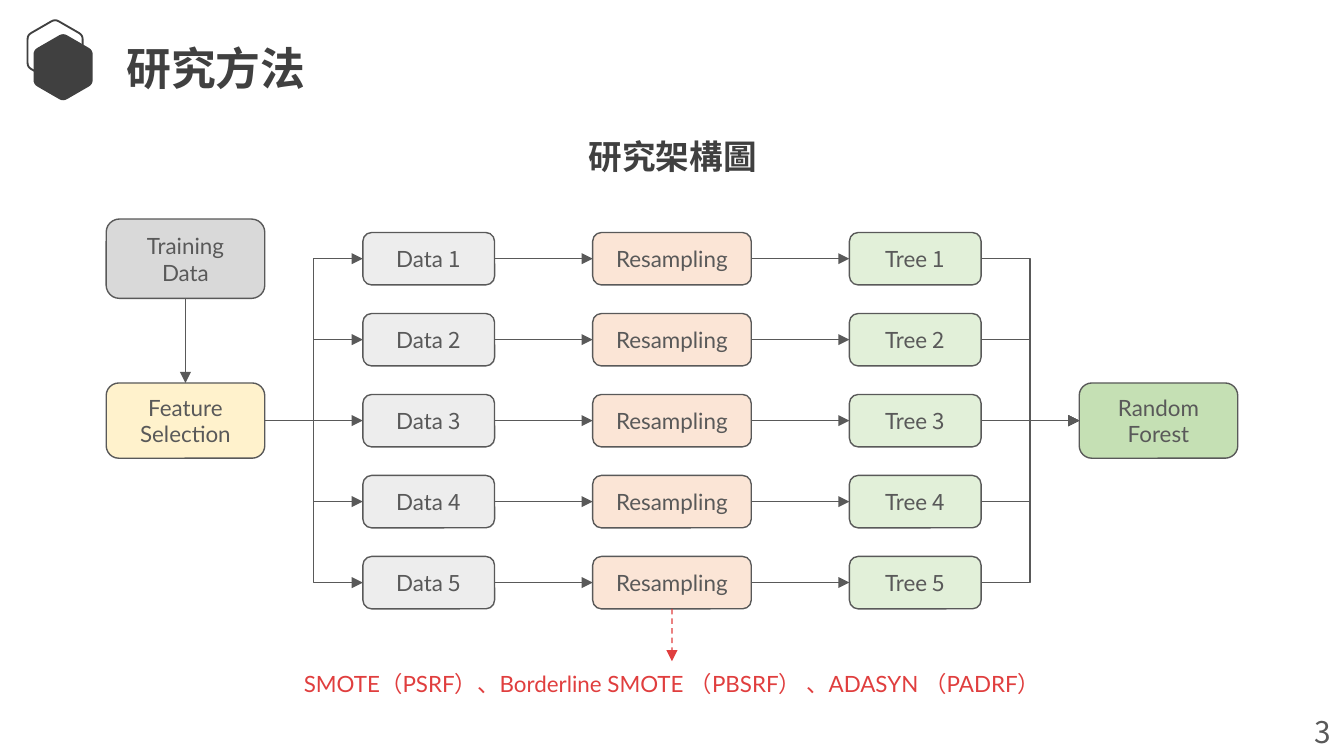
import math

from lxml import etree
from pptx import Presentation
from pptx.dml.color import RGBColor
from pptx.enum.dml import MSO_LINE
from pptx.enum.shapes import MSO_CONNECTOR, MSO_SHAPE
from pptx.enum.text import MSO_ANCHOR, PP_ALIGN
from pptx.oxml.ns import qn
from pptx.util import Inches, Pt

ROUNDED = MSO_SHAPE.ROUNDED_RECTANGLE
STRAIGHT, ELBOW = MSO_CONNECTOR.STRAIGHT, MSO_CONNECTOR.ELBOW
DASH = MSO_LINE.DASH
LEFT, CENTER = PP_ALIGN.LEFT, PP_ALIGN.CENTER
TOP, MIDDLE = MSO_ANCHOR.TOP, MSO_ANCHOR.MIDDLE
SITE_TOP, SITE_LEFT, SITE_BOTTOM, SITE_RIGHT = range(4)

LATIN, CJK = "Lato", "Noto Sans CJK JP"
COLORS = {
    "heading": "404040", "ink": "595959", "accent": "E03E3E",
    "training": "D9D9D9", "selection": "FFF2CC", "data": "EDEDED",
    "resampling": "FBE5D6", "tree": "E2F0D9", "forest": "C5E0B4",
}
ROWS = 5
FIRST_ROW, LAST_ROW = 1.73, 4.14
ROW_HEIGHT = 0.39


def color(name):
    """Return the named palette colour."""
    return RGBColor.from_string(COLORS[name])


def format_run(run, size, ink, font, bold=False):
    """Set the typeface, size and colour of one run."""
    run.font.name = font
    run.font.size = Pt(size)
    run.font.bold = bold
    run.font.color.rgb = color(ink)
    east_asian = etree.SubElement(run.font._element, qn("a:ea"))
    east_asian.set("typeface", CJK)


def write(shape, text, size, ink, font=LATIN, bold=False, align=CENTER, anchor=MIDDLE):
    """Fill a shape with one formatted paragraph and return it."""
    frame = shape.text_frame
    frame.text = text
    frame.word_wrap = True
    frame.vertical_anchor = anchor
    paragraph = frame.paragraphs[0]
    paragraph.alignment = align
    for run in paragraph.runs:
        format_run(run, size, ink, font, bold)
    return paragraph


def add_label(slide, place, text, size, ink, **style):
    """Add a text box with one formatted paragraph."""
    label = slide.shapes.add_textbox(*map(Inches, place))
    write(label, text, size, ink, **style)
    return label


def add_hexagon(slide, center_x, center_y, width, filled):
    """Draw an upright regular hexagon with rounded corners."""
    radius = width / math.sqrt(3)
    corners = [
        (center_x + radius * math.sin(k * math.pi / 3),
         center_y - radius * math.cos(k * math.pi / 3))
        for k in range(6)
    ]
    outline = []
    for k, corner in enumerate(corners):
        before, after = corners[k - 1], corners[(k + 1) % 6]
        for t in (0, 0.25, 0.5, 0.75, 1):
            pull_back, pull_on = 0.13 * (1 - t) ** 2, 0.13 * t ** 2
            outline.append(tuple(
                Inches(c + pull_back * (b - c) + pull_on * (a - c))
                for c, b, a in zip(corner, before, after)
            ))
    builder = slide.shapes.build_freeform(*outline[0])
    builder.add_line_segments(outline[1:], close=True)
    hexagon = builder.convert_to_shape()
    hexagon.shadow.inherit = False
    if filled:
        hexagon.fill.solid()
        hexagon.fill.fore_color.rgb = color("heading")
        hexagon.line.fill.background()
    else:
        hexagon.fill.background()
        hexagon.line.color.rgb = color("heading")
        hexagon.line.width = Pt(1)


def add_step(slide, place, text, fill, number=""):
    """Add a rounded step box, with an optional number after its text."""
    step = slide.shapes.add_shape(ROUNDED, *map(Inches, place))
    step.shadow.inherit = False
    step.fill.solid()
    step.fill.fore_color.rgb = color(fill)
    step.line.color.rgb = color("ink")
    step.line.width = Pt(0.75)
    paragraph = write(step, text, 12, "ink")
    if number:
        numeral = paragraph.add_run()
        numeral.text = number
        format_run(numeral, 12, "ink", CJK)
    return step


def add_column(slide, left, width, text, fill, numbered=True):
    """Add one evenly spaced column of step boxes."""
    pitch = (LAST_ROW - FIRST_ROW) / (ROWS - 1)
    return [
        add_step(slide, (left, FIRST_ROW + row * pitch, width, ROW_HEIGHT),
                 text, fill, str(row + 1) if numbered else "")
        for row in range(ROWS)
    ]


def link(slide, source, target, kind=STRAIGHT, sites=(SITE_RIGHT, SITE_LEFT),
         ink="ink", dash=None):
    """Join two boxes with an arrow."""
    arrow = slide.shapes.add_connector(kind, 0, 0, 0, 0)
    arrow.begin_connect(source, sites[0])
    arrow.end_connect(target, sites[1])
    arrow.line.color.rgb = color(ink)
    arrow.line.width = Pt(0.75)
    if dash:
        arrow.line.dash_style = dash
    head = etree.SubElement(arrow.line._get_or_add_ln(), qn("a:tailEnd"))
    head.set("type", "triangle")
    etree.SubElement(arrow._element.spPr, qn("a:effectLst"))


def add_headings(slide):
    """Place the title, its hexagon ornament, the subtitle and the page number."""
    add_hexagon(slide, 0.41, 0.38, 0.41, filled=False)
    add_hexagon(slide, 0.47, 0.5, 0.44, filled=True)
    title = slide.shapes.title
    title.left, title.top, title.width, title.height = map(Inches, (0.87, 0.26, 1.77, 0.48))
    write(title, "研究方法", 24, "heading", font=CJK, bold=True, align=LEFT, anchor=TOP)
    frame = title.text_frame
    frame.margin_left = frame.margin_right = Inches(0.07)
    frame.margin_top = frame.margin_bottom = Inches(0.04)
    add_label(slide, (2.07, 0.96, 5.87, 0.4), "研究架構圖", 18, "heading", bold=True)
    page = add_label(slide, (9.68, 5.26, 0.32, 0.37), "3", 16, "ink",
                     font=CJK, align=LEFT, anchor=TOP)
    page.text_frame.word_wrap = False


def add_flow(slide):
    """Build the flow from training data to random forest."""
    training = add_step(slide, (0.79, 1.63, 1.18, 0.59), "Training\vData", "training")
    selection = add_step(slide, (0.79, 2.85, 1.18, 0.56), "Feature\vSelection", "selection")
    forest = add_step(slide, (8.03, 2.85, 1.18, 0.56), "Random\vForest", "forest")
    subsets = add_column(slide, 2.7, 0.98, "Data ", "data")
    resamplings = add_column(slide, 4.41, 1.18, "Resampling", "resampling", numbered=False)
    trees = add_column(slide, 6.32, 0.98, "Tree ", "tree")

    link(slide, training, selection, sites=(SITE_BOTTOM, SITE_TOP))
    for subset, resampling, tree in zip(subsets, resamplings, trees):
        link(slide, selection, subset, ELBOW)
        link(slide, subset, resampling)
        link(slide, resampling, tree)
        link(slide, tree, forest, ELBOW)

    methods = slide.shapes.add_shape(ROUNDED, *map(Inches, (2.01, 4.92, 5.98, 0.34)))
    methods.shadow.inherit = False
    methods.fill.background()
    methods.line.fill.background()
    paragraph = write(
        methods, "SMOTE（PSRF）、Borderline SMOTE （PBSRF） 、ADASYN （PADRF）", 12, "accent")
    paragraph.space_before = paragraph.space_after = Pt(6)
    link(slide, resamplings[-1], methods, sites=(SITE_BOTTOM, SITE_TOP),
         ink="accent", dash=DASH)


def main():
    """Build and save the research method slide."""
    deck = Presentation()
    deck.slide_width = Inches(10)
    deck.slide_height = deck.slide_width * 9 // 16
    slide = deck.slides.add_slide(deck.slide_layouts[5])
    add_headings(slide)
    add_flow(slide)
    deck.save("out.pptx")


if __name__ == "__main__":
    main()
